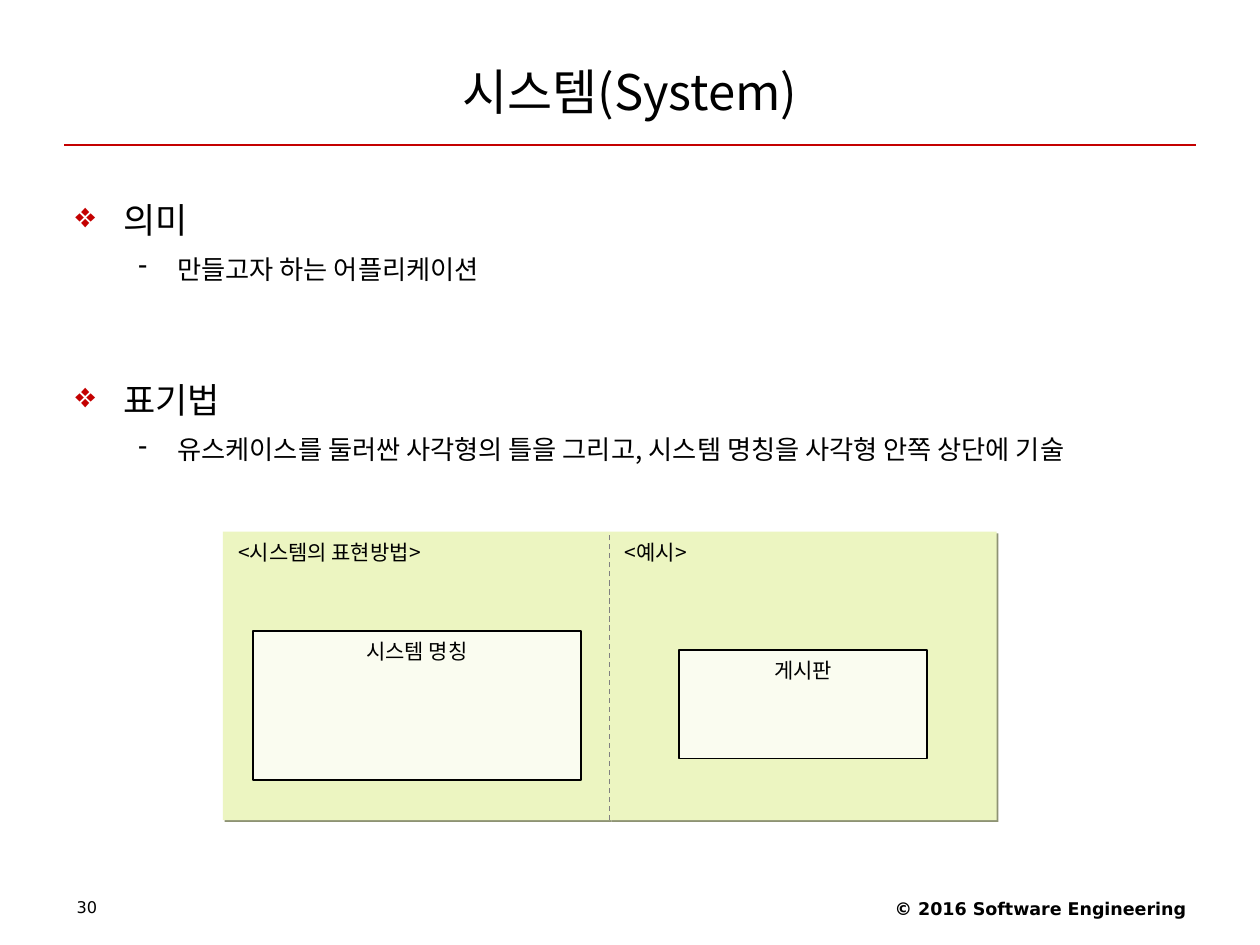
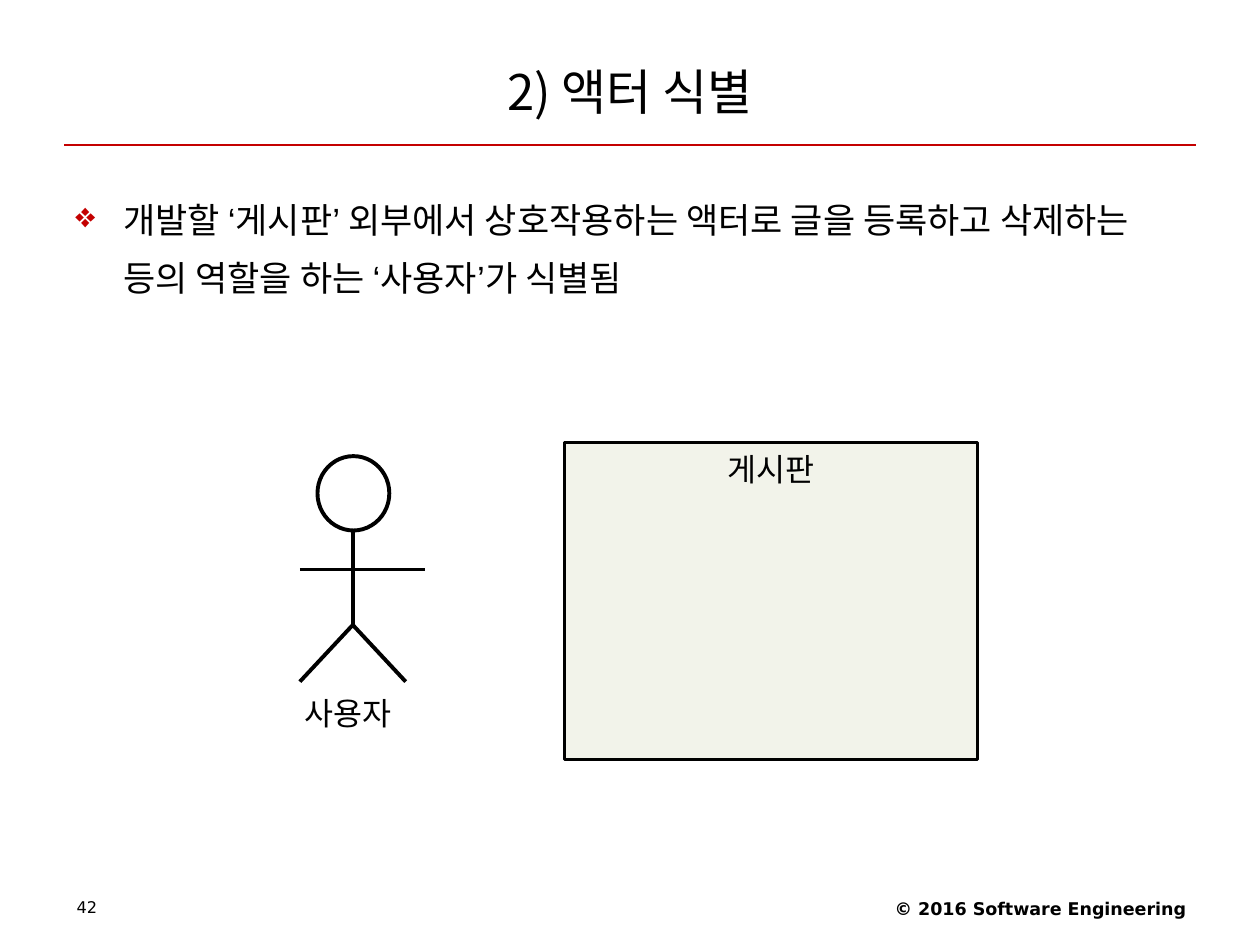
from dataclasses import dataclass
from itertools import groupby

from lxml import etree
from pptx import Presentation
from pptx.dml.color import RGBColor
from pptx.enum.dml import MSO_LINE
from pptx.enum.shapes import MSO_CONNECTOR, MSO_SHAPE
from pptx.enum.text import MSO_ANCHOR, MSO_AUTO_SIZE, PP_ALIGN
from pptx.oxml.ns import qn
from pptx.util import Emu, Pt

LEFT, CENTER, RIGHT = PP_ALIGN.LEFT, PP_ALIGN.CENTER, PP_ALIGN.RIGHT
TOP, MIDDLE = MSO_ANCHOR.TOP, MSO_ANCHOR.MIDDLE
FIT_SHAPE = MSO_AUTO_SIZE.SHAPE_TO_FIT_TEXT
RECTANGLE, OVAL = MSO_SHAPE.RECTANGLE, MSO_SHAPE.OVAL
STRAIGHT, DASH = MSO_CONNECTOR.STRAIGHT, MSO_LINE.DASH

EMU_PER_PX = 9144  # 100 px to the inch


@dataclass(frozen=True)
class Theme:
    ink: str = "000000"
    accent: str = "C40000"
    panel: str = "ECF5C1"
    panel_shadow: str = "8E9374"
    divider: str = "808080"
    frame: str = "FFFFFF"
    board: str = "EFF0E4"
    frame_opacity: int = 77
    font: str = "Noto Sans CJK KR"
    quote_font: str = "Arial"
    footer_font: str = "DejaVu Sans"
    title_size: float = 28
    heading_size: float = 20
    label_size: float = 18
    detail_size: float = 15
    caption_size: float = 12
    footer_size: float = 10
    number_size: float = 9.2


@dataclass(frozen=True)
class Level:
    size: float
    margin: int
    hanging: int
    line_spacing: float
    space_before: float
    bullet: str
    bullet_color: str


THEME = Theme()
HEADING = Level(THEME.heading_size, 38, 38, 1.4, 5, "❖", THEME.accent)
DETAIL = Level(THEME.detail_size, 81, 31, 1.2, 3.7, "-", THEME.ink)
SECTION_GAP = 39  # points added above a later heading


def px(length):
    return Emu(round(length * EMU_PER_PX))


def rgb(color):
    return RGBColor.from_string(color)


# ---- Text ----
def style_span(span, size, font=THEME.font, bold=False):
    span.font.size = Pt(size)
    span.font.name = font
    span.font.bold = bold
    span.font.color.rgb = rgb(THEME.ink)
    east_asian = etree.Element(qn("a:ea"), typeface=font)
    span.font._element.find(qn("a:latin")).addnext(east_asian)


def set_frame(shape, inset_x=10, inset_y=5, anchor=TOP, wrap=True):
    frame = shape.text_frame
    frame.word_wrap = wrap
    frame.vertical_anchor = anchor
    frame.margin_left = frame.margin_right = px(inset_x)
    frame.margin_top = frame.margin_bottom = px(inset_y)
    return frame


def write_line(frame, text, size, align=LEFT, font=THEME.font, bold=False):
    frame.text = text
    para = frame.paragraphs[0]
    para.alignment = align
    style_span(para.runs[0], size, font, bold)
    return para


def add_text(page, box, text, size, anchor=TOP, wrap=True, **style):
    shape = page.shapes.add_textbox(*map(px, box))
    frame = set_frame(shape, anchor=anchor, wrap=wrap)
    return shape, write_line(frame, text, size, **style)


def set_bullet(para, level):
    properties = para._p.get_or_add_pPr()
    properties.set("marL", str(px(level.margin)))
    properties.set("indent", str(-px(level.hanging)))
    color = etree.SubElement(properties, qn("a:buClr"))
    etree.SubElement(color, qn("a:srgbClr"), val=level.bullet_color)
    etree.SubElement(properties, qn("a:buChar"), char=level.bullet)


def add_body(page, box, items):
    frame = set_frame(page.shapes.add_textbox(*map(px, box)))
    for index, (level, text) in enumerate(items):
        para = frame.add_paragraph() if index else frame.paragraphs[0]
        gap = SECTION_GAP if index and level is HEADING else 0
        para.line_spacing = level.line_spacing
        para.space_before = Pt(level.space_before + gap)
        set_bullet(para, level)
        # Curly quotes take their own font
        for is_quote, letters in groupby(text, lambda letter: letter in "‘’"):
            span = para.add_run()
            span.text = "".join(letters)
            style_span(span, level.size, THEME.quote_font if is_quote else THEME.font)


# ---- Lines and boxes ----
def add_line(shapes, start, end, color, width, dash=None):
    line = shapes.add_connector(STRAIGHT, *map(px, (*start, *end)))
    line.line.color.rgb = rgb(color)
    line.line.width = Pt(width)
    if dash:
        line.line.dash_style = dash
    etree.SubElement(line._element.spPr, qn("a:effectLst"))


def add_labelled_box(page, box, text, size, fill, align=CENTER, border=0, opacity=100):
    shape = page.shapes.add_shape(RECTANGLE, *map(px, box))
    shape.shadow.inherit = False
    shape.fill.solid()
    shape.fill.fore_color.rgb = rgb(fill)
    if opacity < 100:
        color = shape._element.spPr.find(qn("a:solidFill"))[0]
        etree.SubElement(color, qn("a:alpha"), val=str(opacity * 1000))
    if border:
        shape.line.color.rgb = rgb(THEME.ink)
        shape.line.width = Pt(border)
    else:
        shape.line.fill.background()
    write_line(set_frame(shape, 12, 6, wrap=False), text, size, align)
    return shape


def add_hard_shadow(shape, color):
    effects = shape._element.spPr.find(qn("a:effectLst"))
    shadow = etree.SubElement(effects, qn("a:outerShdw"), dist=str(Pt(1.4)),
                              dir=str(45 * 60000), algn="ctr", rotWithShape="0")
    etree.SubElement(shadow, qn("a:srgbClr"), val=color)


# ---- Shared page parts ----
def add_page(deck, title, number):
    page = deck.slides.add_slide(deck.slide_layouts[6])
    add_line(page.shapes, (51, 115), (949, 115), THEME.accent, 0.75)
    add_text(page, (634, 708, 317, 29), "© 2016 Software Engineering",
             THEME.footer_size, align=RIGHT, font=THEME.footer_font, bold=True)
    _, para = add_text(page, (51, 709, 233, 28), number,
                       THEME.number_size, font=THEME.footer_font)
    para.line_spacing = 0.9
    add_text(page, (50, 30, 900, 85), title, THEME.title_size,
             anchor=MIDDLE, align=CENTER)
    return page


# ---- Notation panels ----
def add_notation_panels(page, box):
    left, top, width, height = box
    half = width // 2
    for column, caption in enumerate(("<시스템의 표현방법>", "<예시>")):
        panel = add_labelled_box(page, (left + column * half, top, half, height), caption,
                                 THEME.caption_size, THEME.panel, align=LEFT)
        add_hard_shadow(panel, THEME.panel_shadow)

    for name, (x, y, frame_width, frame_height) in (
        ("게시판", (362, 94, 197, 86)),
        ("시스템 명칭", (24, 79, 260, 118)),
    ):
        add_labelled_box(page, (left + x, top + y, frame_width, frame_height), name,
                         THEME.caption_size, THEME.frame, border=1,
                         opacity=THEME.frame_opacity)

    middle = left + half
    add_line(page.shapes, (middle, top + height), (middle, top),
             THEME.divider, 0.75, DASH)


# ---- Stick-figure actor ----
def add_actor(page, box, name):
    left, top, width, height = box
    weight = 2.25
    neck, hip, spine = top + 60, top + 134, left + 42
    figure = page.shapes.add_group_shape()
    limbs = (
        ((left, top + 90), (left + width, top + 90)),
        ((spine, neck), (spine, hip)),
        ((spine, hip), (spine - 42, top + height)),
        ((spine, hip), (spine + 42, top + height)),
    )
    for start, end in limbs:
        add_line(figure.shapes, start, end, THEME.ink, weight)
    head = figure.shapes.add_shape(OVAL, *map(px, (left + 14, top, 57, 59)))
    head.shadow.inherit = False
    head.fill.background()
    head.line.color.rgb = rgb(THEME.ink)
    head.line.width = Pt(weight)

    label, _ = add_text(page, (left - 6, top + height + 5, 92, 40), name,
                        THEME.label_size, wrap=False)
    label.text_frame.auto_size = FIT_SHAPE


# ---- Slides ----
BODY_BOX = (50, 139, 900, 551)


def build_system_page(deck):
    page = add_page(deck, "시스템(System)", "30")
    add_body(page, BODY_BOX, (
        (HEADING, "의미"),
        (DETAIL, "만들고자 하는 어플리케이션"),
        (HEADING, "표기법"),
        (DETAIL, "유스케이스를 둘러싼 사각형의 틀을 그리고, 시스템 명칭을 사각형 안쪽 상단에 기술"),
    ))
    add_notation_panels(page, (177, 422, 614, 229))


def build_actor_page(deck):
    page = add_page(deck, "2) 액터 식별", "42")
    add_body(page, BODY_BOX, (
        (HEADING, "개발할 ‘게시판’ 외부에서 상호작용하는 액터로 글을 등록하고 삭제하는 "
                  "등의 역할을 하는 ‘사용자’가 식별됨"),
    ))
    add_actor(page, (238, 362, 99, 179), "사용자")
    add_labelled_box(page, (448, 351, 328, 252), "게시판", THEME.label_size,
                     THEME.board, border=1.5, opacity=THEME.frame_opacity)


def main():
    deck = Presentation()
    deck.slide_width, deck.slide_height = px(1000), px(750)
    build_system_page(deck)
    build_actor_page(deck)
    deck.save("out.pptx")


if __name__ == "__main__":
    main()
